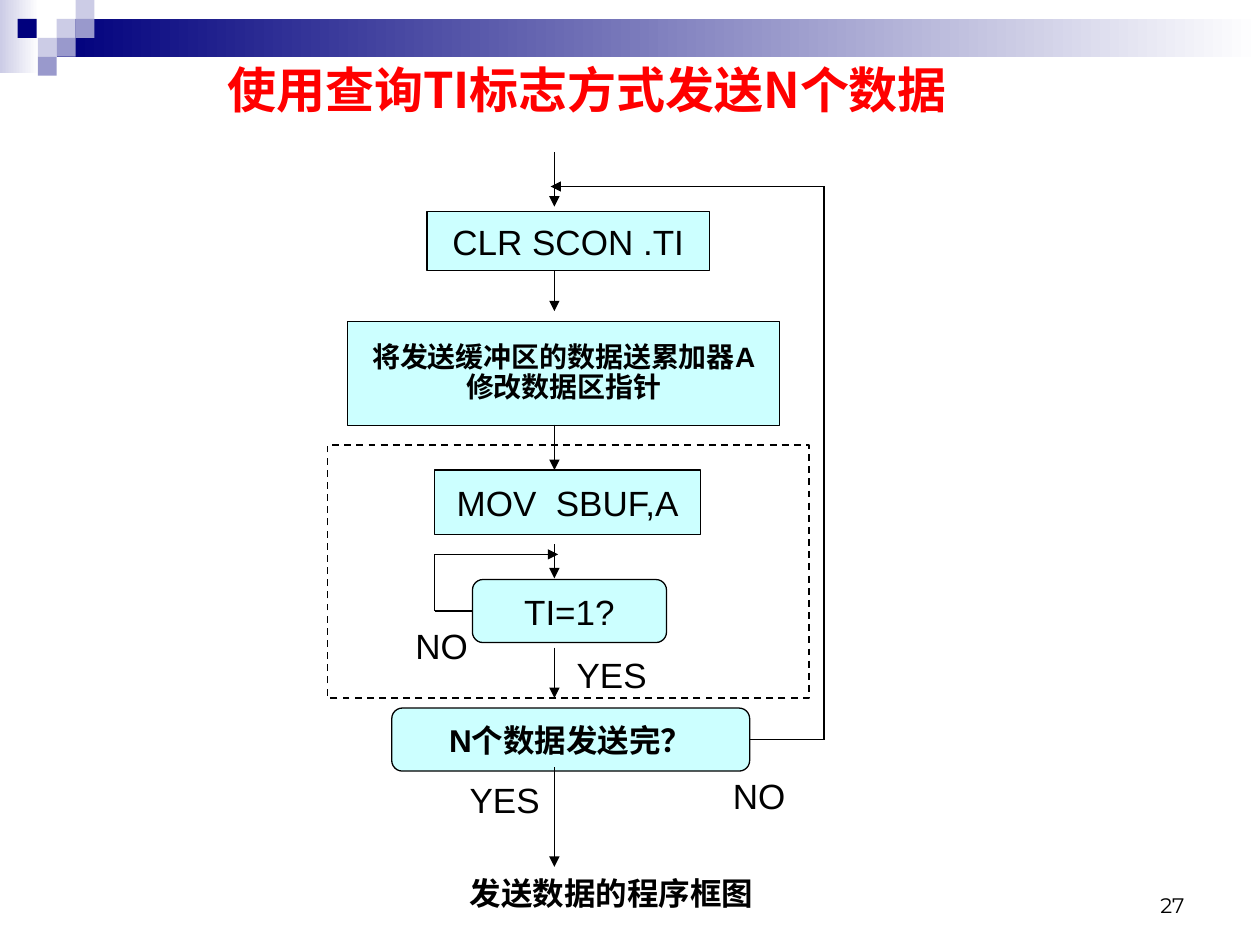
from typing import NamedTuple, Optional

from lxml import etree
from pptx import Presentation
from pptx import util as u
from pptx.dml.color import RGBColor
from pptx.enum import dml, shapes, text
from pptx.oxml.ns import qn

COLORS = {
    "navy": "00007D",
    "periwinkle": "9999CC",
    "lavender": "CCCCE6",
    "white": "FFFFFF",
    "box": "CCFFFF",
    "black": "000000",
    "title": "FF0000",
}
CJK_FONT = "Noto Sans CJK SC"
FLOW_X = 4.4
INNER_X = 3.45
OUTER_X = 6.54
INNER_Y = 4.4
OUTER_Y = 1.48
TILE = 0.15

RECTANGLE = shapes.MSO_SHAPE.RECTANGLE
PROCESS = shapes.MSO_SHAPE.FLOWCHART_PROCESS
DECISION = shapes.MSO_SHAPE.FLOWCHART_ALTERNATE_PROCESS


class Area(NamedTuple):
    left: float
    top: float
    width: float
    height: float

    def lengths(self) -> list:
        return [u.Inches(value) for value in self]


class Style(NamedTuple):
    size: float
    bold: bool = False
    font: str = "Arial"
    color: str = "black"
    align: text.PP_ALIGN = text.PP_ALIGN.CENTER
    anchor: text.MSO_ANCHOR = text.MSO_ANCHOR.MIDDLE
    wrap: bool = False
    spacing: float = 1.0
    side_inset: float = 0.1


class Step(NamedTuple):
    area: Area
    kind: shapes.MSO_SHAPE
    lines: tuple
    style: Style


class Label(NamedTuple):
    area: Area
    words: str
    style: Style


class Line(NamedTuple):
    start: tuple
    end: tuple
    arrow: bool = False
    source: Optional[str] = None
    site: int = 0


PLAIN = Style(20)
BRANCH = Style(20, side_inset=0)
STRONG = Style(18, bold=True)

STEPS = {
    "clear": Step(Area(3.39, 1.68, 2.24, 0.47), PROCESS, ("CLR SCON .TI",), PLAIN),
    "load": Step(
        Area(2.76, 2.55, 3.43, 0.83),
        RECTANGLE,
        ("将发送缓冲区的数据送累加器A", "修改数据区指针"),
        Style(16, bold=True, spacing=0.9),
    ),
    "send": Step(Area(3.45, 3.73, 2.11, 0.51), PROCESS, ("MOV  SBUF,A",), PLAIN),
    "flag": Step(Area(3.75, 4.6, 1.54, 0.5), DECISION, ("TI=1?",), PLAIN),
    "finished": Step(Area(3.11, 5.62, 2.84, 0.5), DECISION, ("N个数据发送完？",), STRONG),
}

LABELS = [
    Label(Area(0.16, 0.38, 9, 0.65), "使用查询TI标志方式发送N个数据",
          Style(28, bold=True, font=CJK_FONT, color="title", wrap=True)),
    Label(Area(3.6, 6.17, 0.81, 0.35), "YES", BRANCH),
    Label(Area(5.72, 6.14, 0.61, 0.35), "NO", BRANCH),
    Label(Area(4.55, 5.18, 0.61, 0.35), "YES", BRANCH),
    Label(Area(3.24, 4.95, 0.53, 0.35), "NO", BRANCH),
    Label(Area(3.17, 6.84, 3.37, 0.5), "发送数据的程序框图", STRONG),
    Label(Area(7.17, 6.83, 2.33, 0.5), "27",
          Style(12, font="Montserrat", align=text.PP_ALIGN.RIGHT,
                anchor=text.MSO_ANCHOR.BOTTOM, wrap=True)),
]

FLOW_SPANS = [(1.21, 1.64), (2.15, 2.47), (3.37, 3.73), (4.32, 4.59), (5.14, 5.54), (6.09, 6.88)]
LINES = [Line((FLOW_X, top), (FLOW_X, bottom), True) for top, bottom in FLOW_SPANS] + [
    Line((3.75, 4.85), (INNER_X, 4.85), source="flag", site=1),
    Line((INNER_X, 4.85), (INNER_X, INNER_Y)),
    Line((INNER_X, INNER_Y), (4.43, INNER_Y), True),
    Line((5.95, 5.87), (OUTER_X, 5.87), source="finished", site=3),
    Line((OUTER_X, 5.87), (OUTER_X, OUTER_Y)),
    Line((OUTER_X, OUTER_Y), (4.37, OUTER_Y), True),
]

BANDS = [
    (Area(0, 0, 0.31, 0.58), "lavender"),
    (Area(0.45, 0.15, 9.55, 0.3), "navy"),
]
TILES = [
    (0.45, 0.15, "lavender"),
    (0.6, 0, "lavender"),
    (0.6, 0.15, "periwinkle"),
    (0.3, 0.3, "lavender"),
    (0.14, 0.15, "navy"),
    (0.45, 0.3, "periwinkle"),
    (0.3, 0.45, "periwinkle"),
]


def rgb(name: str) -> RGBColor:
    return RGBColor.from_string(COLORS[name])


def write(shape, lines: tuple, style: Style) -> None:
    frame = shape.text_frame
    frame.word_wrap = style.wrap
    frame.vertical_anchor = style.anchor
    frame.margin_left = frame.margin_right = u.Inches(style.side_inset)
    for index, words in enumerate(lines):
        paragraph = frame.paragraphs[0] if index == 0 else frame.add_paragraph()
        paragraph.alignment = style.align
        paragraph.line_spacing = style.spacing
        run = paragraph.add_run()
        run.text = words
        font = run.font
        font.size = u.Pt(style.size)
        font.bold = style.bold
        font.name = style.font
        font.color.rgb = rgb(style.color)
        east_asian = etree.SubElement(font._element, qn("a:ea"))
        east_asian.set("typeface", CJK_FONT)


def add_block(slide, area: Area, kind=RECTANGLE, fill: Optional[str] = None):
    shape = slide.shapes.add_shape(kind, *area.lengths())
    shape.shadow.inherit = False
    if fill:
        shape.fill.solid()
        shape.fill.fore_color.rgb = rgb(fill)
    else:
        shape.fill.background()
    shape.line.fill.background()
    return shape


def outline(shape, width: float) -> None:
    shape.line.color.rgb = rgb("black")
    shape.line.width = u.Pt(width)


def add_band(slide, area: Area, color: str) -> None:
    band = add_block(slide, area)
    band.fill.gradient()
    band.fill.gradient_angle = 0
    for stop, position, name in zip(band.fill.gradient_stops, (0, 1), (color, "white")):
        stop.position = position
        stop.color.rgb = rgb(name)


def add_step(slide, step: Step):
    shape = add_block(slide, step.area, step.kind, "box")
    outline(shape, 0.75)
    write(shape, step.lines, step.style)
    return shape


def add_line(slide, line: Line, boxes: dict) -> None:
    points = [u.Inches(value) for value in line.start + line.end]
    connector = slide.shapes.add_connector(shapes.MSO_CONNECTOR.STRAIGHT, *points)
    if line.source:
        connector.begin_connect(boxes[line.source], line.site)
    outline(connector, 0.75)
    if line.arrow:
        tail = etree.SubElement(connector.line._get_or_add_ln(), qn("a:tailEnd"))
        tail.set("type", "triangle")
    etree.SubElement(connector._element.spPr, qn("a:effectLst"))


def main() -> None:
    presentation = Presentation()
    presentation.slide_width = u.Inches(10)
    presentation.slide_height = u.Inches(7.5)
    slide = presentation.slides.add_slide(presentation.slide_layouts[6])

    for area, color in BANDS:
        add_band(slide, area, color)
    for left, top, color in TILES:
        add_block(slide, Area(left, top, TILE, TILE), fill=color)

    boxes = {name: add_step(slide, step) for name, step in STEPS.items()}
    waiting_loop = add_block(slide, Area(2.6, 3.53, 3.82, 2.01))
    outline(waiting_loop, 1)
    waiting_loop.line.dash_style = dml.MSO_LINE.DASH
    for line in LINES:
        add_line(slide, line, boxes)
    for label in LABELS:
        write(slide.shapes.add_textbox(*label.area.lengths()), (label.words,), label.style)

    presentation.save("out.pptx")


if __name__ == "__main__":
    main()
